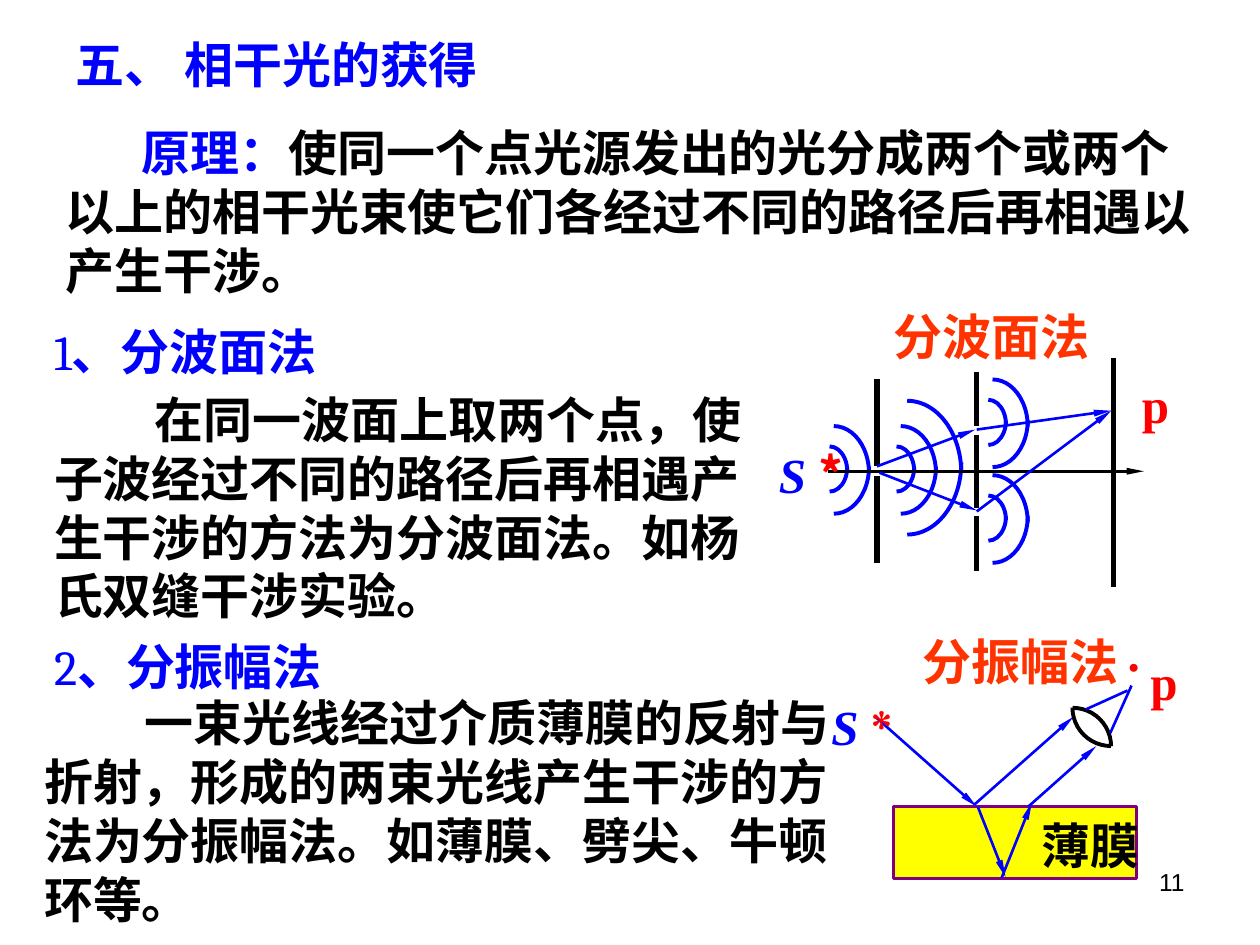
from lxml import etree
from pptx import Presentation
from pptx import util as u
from pptx.dml.color import RGBColor
from pptx.enum import shapes, text
from pptx.oxml import ns

COLORS = {
    "black": "000000",
    "blue": "0000FF",
    "red": "FF0000",
    "orange": "FF3300",
    "yellow": "FFFF00",
    "purple": "800080",
}
CJK_FONT = "Noto Sans CJK SC"
WIDE_MARGINS = (0.25, 0.13)
TIGHT_MARGINS = (0.03, 0.03)
BODY_TOP = 0.43


def rgb(name):
    return RGBColor.from_string(COLORS[name])


def lengths(values):
    return [u.Cm(value) for value in values]


def style_font(font, name=None, color=None, size=None, bold=None, italic=None):
    if name:
        font.name = name
    if color:
        font.color.rgb = rgb(color)
    if size:
        font.size = u.Pt(size)
    if bold is not None:
        font.bold = bold
    if italic is not None:
        font.italic = italic


def add_text(slide, box, runs, name="Cambria", color="black", size=28, bold=True,
             italic=None, margins=WIDE_MARGINS, top=None, indent=0,
             align=text.PP_ALIGN.LEFT, anchor=text.MSO_ANCHOR.TOP):
    """Add one paragraph; runs are (wording, differences from the paragraph font)."""
    frame = slide.shapes.add_textbox(*lengths(box)).text_frame
    frame.word_wrap = True
    frame.vertical_anchor = anchor
    side, edge = lengths(margins)
    frame.margin_left = frame.margin_right = side
    frame.margin_top = frame.margin_bottom = edge
    if top:
        frame.margin_top = u.Cm(top)
    paragraph = frame.paragraphs[0]
    paragraph.alignment = align
    if indent:
        paragraph._p.get_or_add_pPr().set("indent", str(u.Cm(indent)))
    style_font(paragraph.font, name, color, size, bold, italic)
    east_asian = etree.SubElement(paragraph.font._element, ns.qn("a:ea"))
    east_asian.set("typeface", CJK_FONT)
    for wording, differences in runs:
        run = paragraph.add_run()
        run.text = wording
        if differences:
            style_font(run.font, **differences)


def add_heading(slide, top, number, wording):
    add_text(slide, (0.84, top, 6.99, 1.45),
             [(number, {"bold": False}), (wording, {})], color="blue")


def add_label(slide, box, wording, color):
    add_text(slide, box, [(wording, {})], "Times New Roman", color,
             margins=TIGHT_MARGINS)


def add_source(slide, box, star_font, margins):
    star = {"name": star_font, "color": "red", "italic": False}
    add_text(slide, box, [("S ", {}), ("*", star)], "Times New Roman", "blue",
             italic=True, margins=margins)


def add_line(slide, start, end, color="blue", width=1.5, arrow=True):
    line = slide.shapes.add_connector(
        shapes.MSO_CONNECTOR.STRAIGHT, *lengths(start + end))
    line.line.color.rgb = rgb(color)
    line.line.width = u.Pt(width)
    if arrow:
        head = etree.SubElement(line.line._get_or_add_ln(), ns.qn("a:tailEnd"))
        head.attrib.update({"type": "triangle", "w": "sm", "len": "lg"})
    etree.SubElement(line._element.spPr, ns.qn("a:effectLst"))


def add_quarter_arc(slide, box, start, color):
    """Draw a quarter of the ellipse in box, clockwise from start degrees."""
    arc = slide.shapes.add_shape(shapes.MSO_SHAPE.ARC, *lengths(box))
    arc.shadow.inherit = False
    # Angles are in 60000ths of a degree, adjustments in 100000ths.
    arc.adjustments[0] = start * 0.6
    arc.adjustments[1] = (start + 90) % 360 * 0.6
    arc.fill.background()
    arc.line.color.rgb = rgb(color)
    arc.line.width = u.Pt(2.25)


def add_wavefront(slide, left, top, width, height):
    """Draw a half ring from two quarters that overlap slightly."""
    add_quarter_arc(slide, (left, top - 0.07 * height, width, height), 0, "blue")
    add_quarter_arc(slide, (left, top, width, height), 270, "blue")


def add_wavelet(slide, left, top):
    add_wavefront(slide, left, top, 1.42, 1.9)
    add_wavefront(slide, left + 0.27, top + 0.41, 0.71, 0.98)


def add_wavefront_division(slide):
    for left, top in ((16.1, 8.59), (17.45, 8.59), (19.3, 7.65), (19.3, 9.58)):
        add_wavelet(slide, left, top)
    add_wavefront(slide, 17.2, 8.08, 2.18, 2.9)

    barriers = {
        17.68: [(7.65, 9.4), (9.6, 11.35)],
        19.69: [(7.49, 8.59), (8.76, 10.24), (10.41, 11.51)],
        22.45: [(7.21, 11.84)],
    }
    for x, pieces in barriers.items():
        for top, bottom in pieces:
            add_line(slide, (x, top), (x, bottom), "black", 3, arrow=False)

    add_line(slide, (16.69, 9.5), (23.06, 9.5), "black")
    meeting_point = (22.4, 8.28)
    for start, end in (
        ((17.68, 9.4), (19.66, 8.66)),
        ((17.73, 9.53), (19.69, 10.29)),
        ((19.69, 8.66), meeting_point),
        ((19.69, 10.31), meeting_point),
    ):
        add_line(slide, start, end)

    add_label(slide, (22.99, 7.52, 0.94, 1.32), "p", "red")
    add_source(slide, (15.67, 8.94, 1.47, 1.45), CJK_FONT, TIGHT_MARGINS)
    add_label(slide, (17.98, 6.15, 4.83, 1.47), "分波面法", "orange")


def add_amplitude_division(slide):
    add_label(slide, (18.57, 12.7, 4.09, 1.37), "分振幅法", "orange")
    film = slide.shapes.add_shape(
        shapes.MSO_SHAPE.RECTANGLE, *lengths((18.01, 16.26, 4.9, 1.45)))
    film.shadow.inherit = False
    film.fill.solid()
    film.fill.fore_color.rgb = rgb("yellow")
    film.line.color.rgb = rgb("purple")
    film.line.width = u.Pt(1.5)

    for start, end in (
        ((19.71, 16.26), (20.27, 17.68)),
        ((20.19, 17.7), (20.8, 16.18)),
        ((17.68, 14.48), (19.69, 16.26)),
        ((19.63, 16.23), (21.64, 14.45)),
        ((20.73, 16.26), (22.1, 15.04)),
    ):
        add_line(slide, start, end)

    add_quarter_arc(slide, (21.62, 13.49, 1.55, 1.55), 90, "black")
    add_quarter_arc(slide, (20.85, 14.27, 1.55, 1.55), 270, "black")
    add_line(slide, (21.89, 14.3), (22.73, 13.92), arrow=False)
    add_line(slide, (22.38, 14.78), (22.81, 13.82), arrow=False)

    add_label(slide, (22.66, 12.78, 1.7, 1.73), "·", "red")
    add_label(slide, (23.16, 13.11, 1.17, 1.35), "p", "red")
    add_label(slide, (20.96, 16.41, 2.97, 1.09), "薄膜", "black")
    add_source(slide, (16.51, 13.92, 2.11, 1.37), "TeX Gyre Bonum", WIDE_MARGINS)


def main():
    deck = Presentation()
    deck.slide_width, deck.slide_height = lengths((25.4, 19.05))
    slide = deck.slides.add_slide(deck.slide_layouts[6])

    add_text(slide, (1.27, 0.76, 18.59, 1.07), [("五、 相干光的获得", {})],
             "Arial", "blue", anchor=text.MSO_ANCHOR.MIDDLE)
    add_heading(slide, 6.35, "1", "、分波面法")
    add_heading(slide, 12.7, "2", "、分振幅法")
    add_text(slide, (0.84, 7.42, 15.04, 5.33), [(
        "在同一波面上取两个点，使子波经过不同的路径后再相遇产生干涉的方法为"
        "分波面法。如杨氏双缝干涉实验。", {})], top=BODY_TOP, indent=2.03)
    add_text(slide, (0.64, 13.54, 16.51, 5.33), [(
        "一束光线经过介质薄膜的反射与折射，形成的两束光线产生干涉的方法为"
        "分振幅法。如薄膜、劈尖、牛顿环等。", {})], top=BODY_TOP, indent=2.03)
    add_text(slide, (1.07, 2.34, 23.5, 3.81), [
        ("原理：", {"color": "blue"}),
        ("使同一个点光源发出的光分成两个或两个以上的相干光束"
         "使它们各经过不同的路径后再相遇以产生干涉。", {}),
    ], indent=1.54)

    add_wavefront_division(slide)
    add_amplitude_division(slide)
    add_text(slide, (18.21, 17.35, 5.92, 1.32), [("11", {})], "Arial", size=14,
             bold=False, align=text.PP_ALIGN.RIGHT)
    deck.save("out.pptx")


if __name__ == "__main__":
    main()
